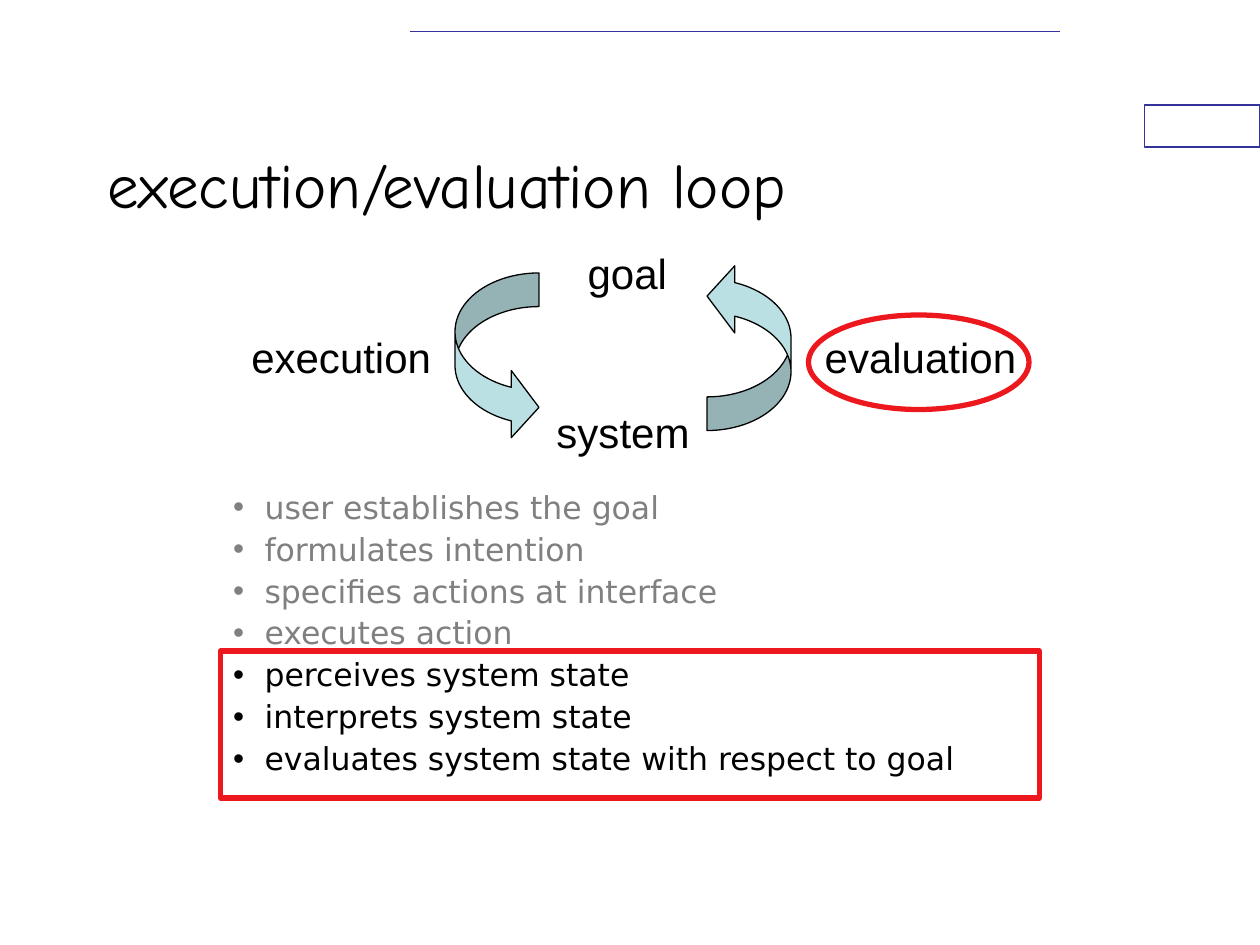
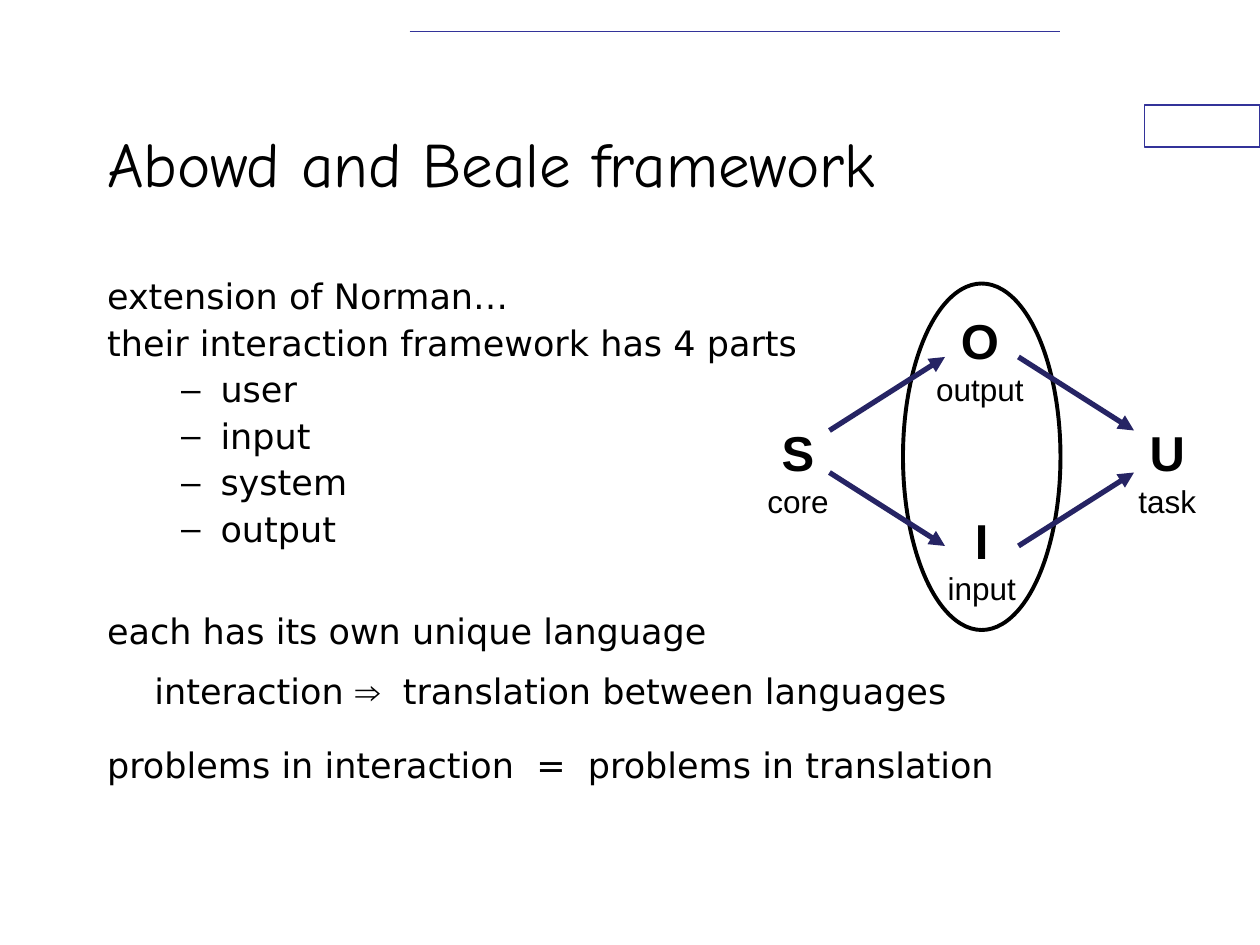
from dataclasses import dataclass

from lxml.etree import SubElement
from pptx import Presentation
from pptx.dml.color import RGBColor as RGB
from pptx.enum.shapes import MSO_CONNECTOR as Connector, MSO_SHAPE as Preset
from pptx.enum.text import MSO_ANCHOR as Anchor, MSO_AUTO_SIZE as AutoSize, PP_ALIGN as Align
from pptx.oxml.ns import qn
from pptx.util import Pt


@dataclass(frozen=True)
class Theme:
    # Colours
    ink: RGB = RGB(0x00, 0x00, 0x00)
    paper: RGB = RGB(0xFF, 0xFF, 0xFF)
    muted: RGB = RGB(0x80, 0x80, 0x80)
    band: RGB = RGB(0x33, 0x33, 0x99)
    flow: RGB = RGB(0x26, 0x24, 0x64)
    loop: RGB = RGB(0xBB, 0xE0, 0xE3)
    highlight: RGB = RGB(0xED, 0x18, 0x1E)
    # Fonts
    title_font: str = "Comic Neue"
    body_font: str = "DejaVu Sans"
    label_font: str = "Arial"
    # Type sizes
    title_size: float = 36
    body_size: float = 20
    step_size: float = 18
    label_size: float = 24
    letter_size: float = 28
    caption_size: float = 18


class Deck:
    """Holds the theme and the slide being built."""

    def __init__(self, theme):
        self.theme = theme
        self.show = Presentation()
        self.show.slide_width, self.show.slide_height = Pt(720), Pt(540)
        self.slide = None

    def new_slide(self, heading, title_top):
        self.slide = self.show.slides.add_slide(self.show.slide_layouts[1])
        t = self.theme
        # Band shared by all slides
        self.shape(Preset.RECTANGLE, (654, 60, 66, 24), t.band, 0.75, t.paper)
        self.line((234, 18), (606, 18), t.band, 1)
        # Title
        frame = self.place(self.slide.shapes.title, (54, title_top, 540, 90))
        frame.vertical_anchor = Anchor.MIDDLE
        title = frame.paragraphs[0]
        title.alignment = Align.LEFT
        self.run(title, heading, t.title_font, t.title_size)

    def place(self, holder, box):
        holder.left, holder.top, holder.width, holder.height = map(Pt, box)
        frame = holder.text_frame
        frame.auto_size = AutoSize.NONE
        return frame

    def run(self, paragraph, text, font, size, color=None, bold=False):
        run = paragraph.add_run()
        run.text = text
        run.font.name, run.font.size, run.font.bold = font, Pt(size), bold
        run.font.color.rgb = color or self.theme.ink

    def body(self, top):
        """Fit the body placeholder between top and the lower margin."""
        return self.place(self.slide.placeholders[1], (54, top, 612, 480 - top))

    def item(self, frame, runs, size, before, margin=0.0, hang=0.0, level=0,
             bullet=None, color=None):
        """Add a body paragraph; runs are (text, font) pairs."""
        first = not frame.paragraphs[0].runs
        item = frame.paragraphs[0] if first else frame.add_paragraph()
        item.level = level
        item.line_spacing = 0.9
        item.space_before = Pt(0 if first else before)
        props = item._p.get_or_add_pPr()
        props.set("marL", str(Pt(margin)))
        props.set("indent", str(Pt(-hang)))
        if bullet:
            tint = SubElement(props, qn("a:buClr"))
            SubElement(tint, qn("a:srgbClr"), val=str(color or self.theme.ink))
            SubElement(props, qn("a:buChar"), char=bullet)
        else:
            SubElement(props, qn("a:buNone"))
        for text, font in runs:
            self.run(item, text, font, size, color)

    def label(self, center, top, width, height, lines):
        """Add text centred on an x position; lines are (text, size, bold) triples."""
        holder = self.slide.shapes.add_textbox(*map(Pt, (center - width / 2, top, width, height)))
        frame = holder.text_frame
        frame.word_wrap = False
        for i, (text, size, bold) in enumerate(lines):
            row = frame.add_paragraph() if i else frame.paragraphs[0]
            row.alignment = Align.CENTER
            self.run(row, text, self.theme.label_font, size, bold=bold)

    def shape(self, preset, box, color, width, fill=None):
        shape = self.slide.shapes.add_shape(preset, *map(Pt, box))
        shape.shadow.inherit = False
        shape.line.color.rgb, shape.line.width = color, Pt(width)
        if fill is None:
            shape.fill.background()
        else:
            shape.fill.solid()
            shape.fill.fore_color.rgb = fill
        return shape

    def curved_arrow(self, box, rotation):
        arrow = self.shape(Preset.CURVED_RIGHT_ARROW, box, self.theme.ink, 0.75, self.theme.loop)
        arrow.rotation = rotation
        for i, share in enumerate((0.4, 0.8, 0.33)):
            arrow.adjustments[i] = share

    def line(self, start, end, color, width, arrow=False):
        line = self.slide.shapes.add_connector(Connector.STRAIGHT, *map(Pt, (*start, *end)))
        line.line.color.rgb, line.line.width = color, Pt(width)
        if arrow:
            SubElement(line.line._get_or_add_ln(), qn("a:tailEnd"), type="triangle")
        SubElement(line._element.spPr, qn("a:effectLst"))


def build_loop(deck):
    t = deck.theme
    deck.new_slide("execution/evaluation loop", 60)

    # Steps of the loop, the evaluation half in full ink
    execution = ("user establishes the goal", "formulates intention",
                 "specifies actions at interface", "executes action")
    evaluation = ("perceives system state", "interprets system state",
                  "evaluates system state with respect to goal")
    steps = deck.body(277.5)
    for half, color in ((execution, t.muted), (evaluation, t.ink)):
        for step in half:
            deck.item(steps, [(step, t.body_font)], t.step_size, 4.5,
                      margin=90, hang=18, level=2, bullet="•", color=color)

    # Cycle between goal and system
    for word, center, top in (("system", 356, 228.5), ("evaluation", 526, 186),
                              ("execution", 195, 186), ("goal", 358.5, 138)):
        deck.label(center, top, 130, 36, [(word, t.label_size, False)])
    deck.curved_arrow((260, 156, 48, 96), 0)
    deck.curved_arrow((404, 150, 48, 96), 180)

    # Highlights
    deck.shape(Preset.OVAL, (462, 180, 126, 54), t.highlight, 3)
    deck.shape(Preset.RECTANGLE, (126, 372, 468, 84), t.highlight, 3)


def build_framework(deck):
    t = deck.theme
    deck.new_slide("Abowd and Beale framework", 48)

    # Explanation
    notes = deck.body(156)

    def statement(text, before, margin=0):
        deck.item(notes, [(text, t.body_font)], t.body_size, before, margin)

    statement("extension of Norman…", 0)
    statement("their interaction framework has 4 parts", 5)
    for part in ("user", "input", "system", "output"):
        deck.item(notes, [(part, t.body_font)], t.body_size, 5,
                  margin=64.8, hang=22.5, level=1, bullet="–")
    statement("each has its own unique language", 36.7)
    deck.item(notes, [("interaction ", t.body_font), ("⇒", t.label_font),
                      ("  translation between languages", t.body_font)],
              t.body_size, 13, margin=27)
    statement("problems in interaction  =  problems in translation", 20.7)

    # Interface with its four components
    deck.shape(Preset.OVAL, (516, 162, 90, 198), t.ink, 2.25)
    for letter, caption, center, top in (("S", "core", 456, 238), ("U", "task", 667, 238),
                                         ("O", "output", 560, 174), ("I", "input", 561, 288)):
        deck.label(center, top, 80, 62,
                   [(letter, t.letter_size, True), (caption, t.caption_size, False)])

    # Translations, mirrored above and below the centre line
    for outer, inner in ((246, 204), (270, 312)):
        deck.line((474, outer), (540, inner), t.flow, 3, arrow=True)
        deck.line((582, inner), (648, outer), t.flow, 3, arrow=True)


def main():
    deck = Deck(Theme())
    build_loop(deck)
    build_framework(deck)
    deck.show.save("out.pptx")


if __name__ == "__main__":
    main()
